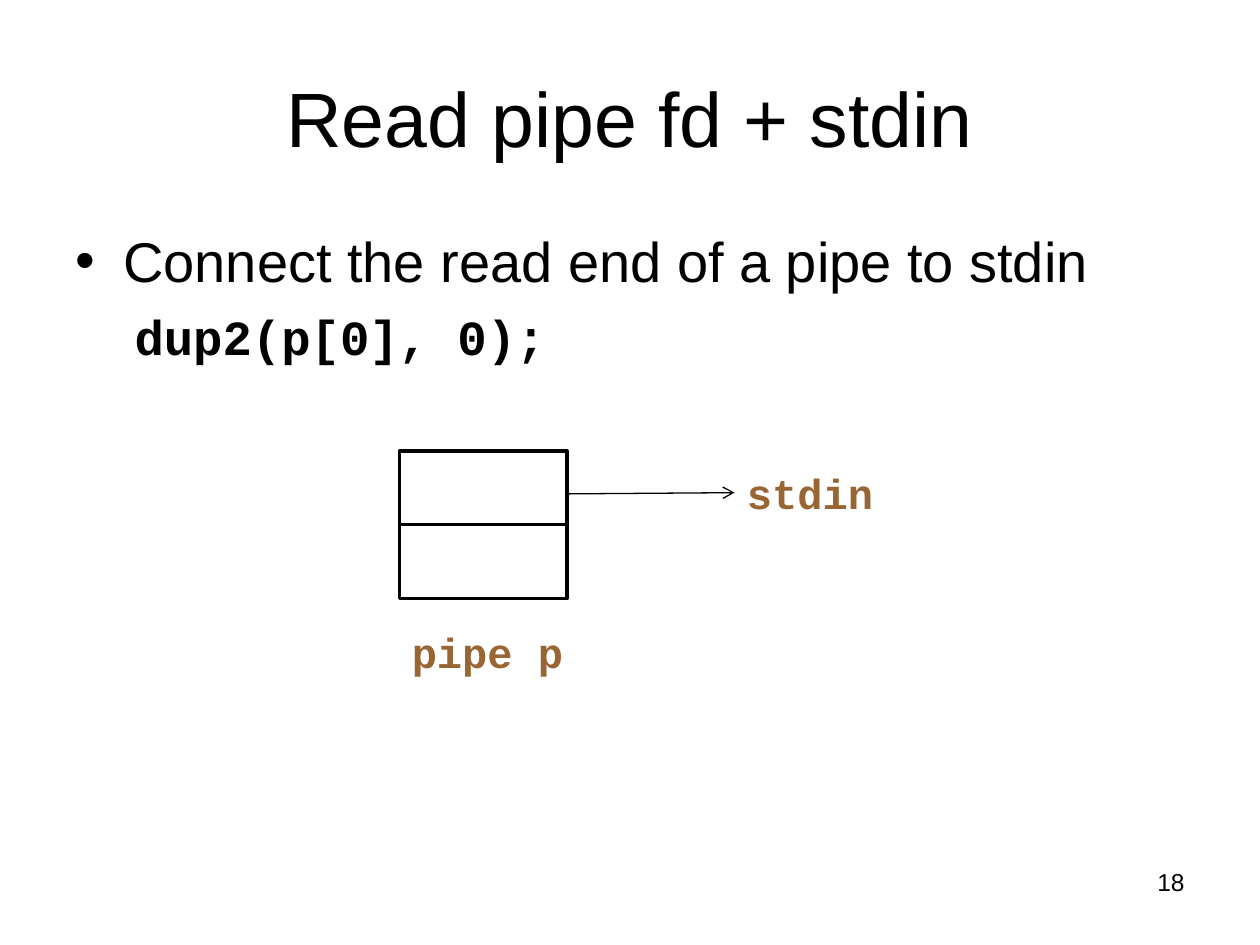
from lxml.etree import SubElement
from pptx import Presentation
from pptx.dml.color import RGBColor
from pptx.enum.shapes import MSO_CONNECTOR, MSO_SHAPE
from pptx.enum.text import MSO_ANCHOR as Anchor, PP_ALIGN as Align
from pptx.oxml.ns import qn
from pptx.util import Inches, Pt

# Content
TITLE = "Read pipe fd + stdin"
BULLET = "Connect the read end of a pipe to stdin"
CODE = "dup2(p[0], 0);"
PAGE_NUMBER = "18"
LABELS = [("stdin", (5.83, 3.66, 1.67, 0.5)), ("pipe p", (3.17, 4.92, 1.5, 0.5))]

# Formats
BLACK, WHITE, BROWN = "000000", "FFFFFF", "996633"
TITLE_FONT = {"name": "Arial", "size": Pt(44), "bold": False}
BULLET_FONT = {"name": "Arial", "size": Pt(32)}
CODE_FONT = {"name": "Courier New", "size": Pt(28), "bold": True}
LABEL_FONT = {"name": "Courier New", "size": Pt(24), "bold": True}
NUMBER_FONT = {"name": "Arial", "size": Pt(14)}

# Pipe cells: left, top, width, height
PIPE_LEFT, PIPE_TOP, CELL_WIDTH, CELL_HEIGHT = 3.17, 3.58, 1.33, 0.585
CELL_COUNT = 2
ARROW_END = 5.83


def paint(color_format, hex_color):
    color_format.rgb = RGBColor.from_string(hex_color)


def write(para, text, font, color=BLACK, **layout):
    span = para.add_run()
    span.text = text
    for name, value in font.items():
        setattr(span.font, name, value)
    paint(span.font.color, color)
    for name, value in layout.items():
        setattr(para, name, value)


def add_box(page, place):
    frame = page.shapes.add_textbox(*map(Inches, place)).text_frame
    frame.word_wrap = True
    return frame


def indent(para, margin, first_line, bullet=None):
    props = para._p.get_or_add_pPr()
    props.set("marL", str(Inches(margin)))
    props.set("indent", str(Inches(first_line)))
    if bullet:
        SubElement(props, qn("a:buFont"), typeface="Arial")
        SubElement(props, qn("a:buChar"), char=bullet)


deck = Presentation()
deck.slide_width, deck.slide_height = Inches(10), Inches(7.5)
page = deck.slides.add_slide(deck.slide_layouts[5])

# Title
title = page.shapes.title
title.left, title.top, title.width, title.height = map(Inches, (0.5, 0.3, 9, 1.25))
title.text_frame.vertical_anchor = Anchor.MIDDLE
write(title.text_frame.paragraphs[0], TITLE, TITLE_FONT, alignment=Align.CENTER)

# Body: a bullet and the call below it
body = add_box(page, (0.5, 1.75, 9, 4.95))
bullet_para, code_para = body.paragraphs[0], body.add_paragraph()
write(bullet_para, BULLET, BULLET_FONT, space_before=Pt(8))
indent(bullet_para, 0.38, -0.38, "•")
write(code_para, CODE, CODE_FONT, space_before=Pt(7))
indent(code_para, 0.47, 0)

# Page number
number = add_box(page, (7.17, 6.83, 2.33, 0.52))
write(number.paragraphs[0], PAGE_NUMBER, NUMBER_FONT, alignment=Align.RIGHT)

# Pipe cells
for row in range(CELL_COUNT):
    place = (PIPE_LEFT, PIPE_TOP + row * CELL_HEIGHT, CELL_WIDTH, CELL_HEIGHT)
    cell = page.shapes.add_shape(MSO_SHAPE.RECTANGLE, *map(Inches, place))
    cell.shadow.inherit = False
    cell.fill.solid()
    paint(cell.fill.fore_color, WHITE)
    paint(cell.line.color, BLACK)
    cell.line.width = Pt(2)

# Labels
for text, place in LABELS:
    write(add_box(page, place).paragraphs[0], text, LABEL_FONT, BROWN)

# Arrow from the read end to stdin
ends = (PIPE_LEFT + CELL_WIDTH, 3.92, ARROW_END, 3.91)
arrow = page.shapes.add_connector(MSO_CONNECTOR.STRAIGHT, *map(Inches, ends))
paint(arrow.line.color, BLACK)
arrow.line.width = Pt(0.75)
SubElement(arrow.line._get_or_add_ln(), qn("a:tailEnd"), type="arrow")
SubElement(arrow._element.spPr, qn("a:effectLst"))

deck.save("out.pptx")
